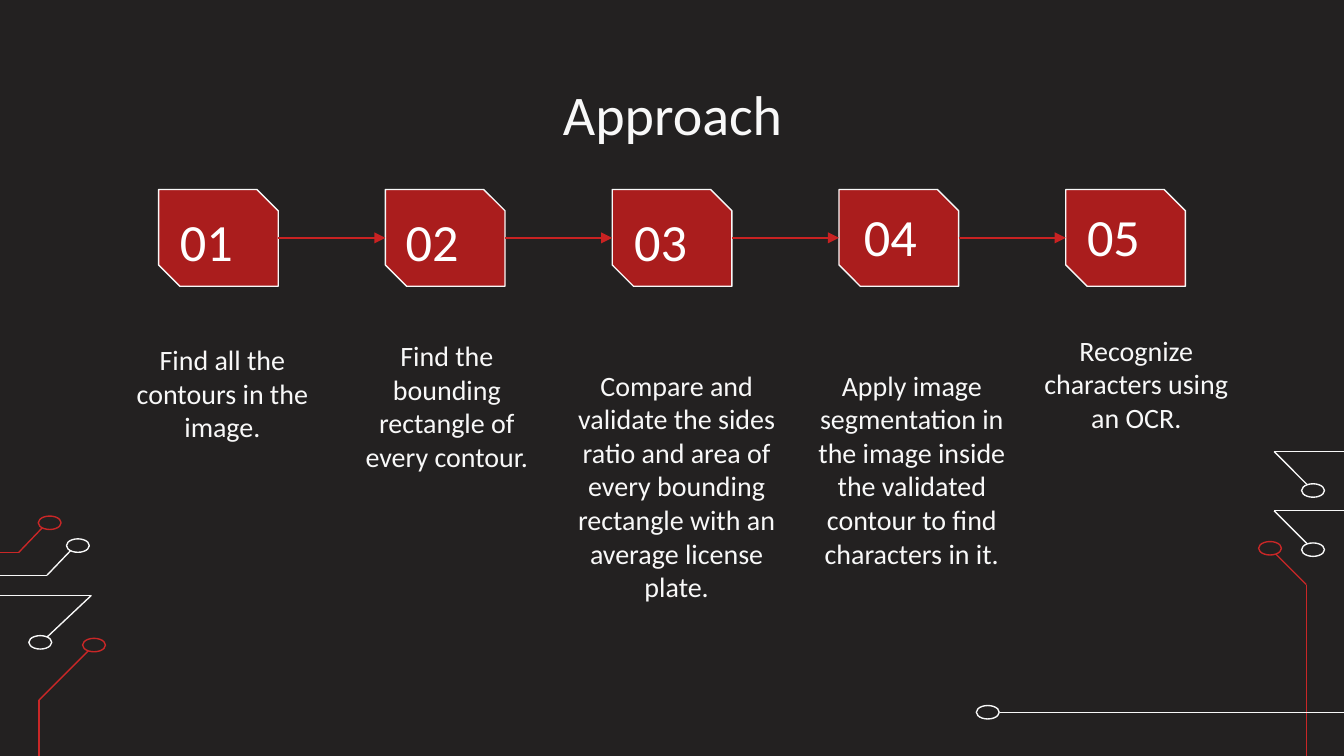
"""Build the five-step Approach slide with circuit traces at its edges."""
import pptx
import pptx.util
import pptx.dml.color
import pptx.enum.shapes
import pptx.enum.text
import pptx.oxml.ns
import lxml.etree

W = 10
H = W * 9 / 16
THEME = {
    "font": "Calibri", "bg": "232121", "light": "F8F8F8", "white": "FFFFFF",
    "trace": "C92727", "arrow": "C92222", "box": "AA1D1D",
    "title": 30, "number": 28, "body": 15, "line": 0.75,
}
TITLE = "Approach"
STEPS = [
    {"text": "Find all the contours in the image.",
     "body": (0.82, 2.26, 1.14), "number": (1.24, 1.51)},
    {"text": "Find the bounding rectangle of every contour.",
     "body": (2.49, 2.43, 1.19), "number": (2.92, 1.51)},
    {"text": "Compare and validate the sides ratio and area of every "
             "bounding rectangle with an average license plate.",
     "body": (4.2, 4.01, 0.58), "number": (4.62, 1.51)},
    {"text": "Apply image segmentation in the image inside the validated "
             "contour to find characters in it.",
     "body": (5.95, 2.36, 1.98), "number": (6.33, 1.47)},
    {"text": "Recognize characters using an OCR.",
     "body": (7.62, 2.75, 0.58), "number": (7.99, 1.47)},
]
TRACES = [
    ("trace", [(0.29, H), (0.29, 5.21), (0.68, 4.82)], (0.7, 4.8)),
    ("light", [(0, 4.43), (0.68, 4.43), (0.34, 4.75)], (0.3, 4.78)),
    ("light", [(0, 4.28), (0.35, 4.28), (0.58, 4.04)], (0.58, 4.06)),
    ("trace", [(0, 4.11), (0.14, 4.11), (0.37, 3.87)], (0.37, 3.89)),
    ("trace", [(9.72, H), (9.72, 4.35), (9.47, 4.1)], (9.45, 4.08)),
    ("light", [(W, 5.3), (7.44, 5.3)], (7.35, 5.3)),
    ("light", [(W, 3.8), (9.48, 3.8), (9.77, 4.09)], (9.77, 4.09)),
    ("light", [(W, 3.36), (9.48, 3.36), (9.77, 3.65)], (9.77, 3.65)),
]
BOX_X, BOX_Y, BOX_W, BOX_H = 1.18, 1.41, 0.89, 0.72
PITCH = (W - 2 * BOX_X - BOX_W) / (len(STEPS) - 1)
NODE_W, NODE_H = 0.17, 0.1
BODY_W, NUMBER_W, NUMBER_H = 1.67, 0.77, 0.57
SHAPE = pptx.enum.shapes.MSO_SHAPE
ALIGN = pptx.enum.text.PP_ALIGN
ANCHOR = pptx.enum.text.MSO_ANCHOR


def inches(*values):
    return [pptx.util.Inches(v) for v in values]


def rgb(name):
    return pptx.dml.color.RGBColor.from_string(THEME[name])


def add_line(s, start, end, color, arrow=False):
    c = s.shapes.add_connector(
        pptx.enum.shapes.MSO_CONNECTOR.STRAIGHT, *inches(*start, *end))
    c.line.color.rgb = rgb(color)
    c.line.width = pptx.util.Pt(THEME["line"])
    if arrow:
        ln = c.line._get_or_add_ln()
        lxml.etree.SubElement(ln, pptx.oxml.ns.qn("a:tailEnd"), type="triangle")
    lxml.etree.SubElement(c._element.spPr, pptx.oxml.ns.qn("a:effectLst"))
    return c


def add_box(s, kind, at, fill, line):
    sp = s.shapes.add_shape(kind, *inches(*at))
    sp.shadow.inherit = False
    sp.fill.solid()
    sp.fill.fore_color.rgb = rgb(fill)
    sp.line.color.rgb = rgb(line)
    sp.line.width = pptx.util.Pt(THEME["line"])
    return sp


def add_text(s, text, at, size, color="light", align=ALIGN.CENTER,
             anchor=ANCHOR.TOP, inset=(0.1, 0.1)):
    tf = s.shapes.add_textbox(*inches(*at)).text_frame
    tf.word_wrap = True
    tf.vertical_anchor = anchor
    tf.margin_left = tf.margin_right = pptx.util.Inches(inset[0])
    tf.margin_top = tf.margin_bottom = pptx.util.Inches(inset[1])
    p = tf.paragraphs[0]
    p.alignment = align
    r = p.add_run()
    r.text = text
    r.font.name = THEME["font"]
    r.font.size = pptx.util.Pt(THEME[size])
    r.font.color.rgb = rgb(color)


def main():
    prs = pptx.Presentation()
    prs.slide_width, prs.slide_height = inches(W, H)
    s = prs.slides.add_slide(prs.slide_layouts[6])
    s.background.fill.solid()
    s.background.fill.fore_color.rgb = rgb("bg")

    for color, points, (x, y) in TRACES:
        for start, end in zip(points, points[1:]):
            add_line(s, start, end, color)
        add_box(s, SHAPE.OVAL,
                (x - NODE_W / 2, y - NODE_H / 2, NODE_W, NODE_H), "bg", color)

    boxes = []
    for i in range(len(STEPS)):
        sp = add_box(s, SHAPE.SNIP_2_DIAG_RECTANGLE,
                     (BOX_X + i * PITCH, BOX_Y, BOX_W, BOX_H), "box", "light")
        sp.adjustments[0], sp.adjustments[1] = 0, 0.22
        boxes.append(sp)

    add_text(s, TITLE, (0.79, 0.49, 8.43, 0.63), "title")
    for i, step in enumerate(STEPS, 1):
        x, y, h = step["body"]
        add_text(s, step["text"], (x, y, BODY_W, h), "body",
                 anchor=ANCHOR.BOTTOM)
        add_text(s, f"{i:02}", (*step["number"], NUMBER_W, NUMBER_H), "number",
                 color="white", align=ALIGN.LEFT, inset=(0.1, 0.05))

    for left, right in zip(boxes, boxes[1:]):
        c = add_line(s, (0, 0), (0, 0), "arrow", arrow=True)
        c.begin_connect(left, 3)
        c.end_connect(right, 1)

    prs.save("out.pptx")


if __name__ == "__main__":
    main()
